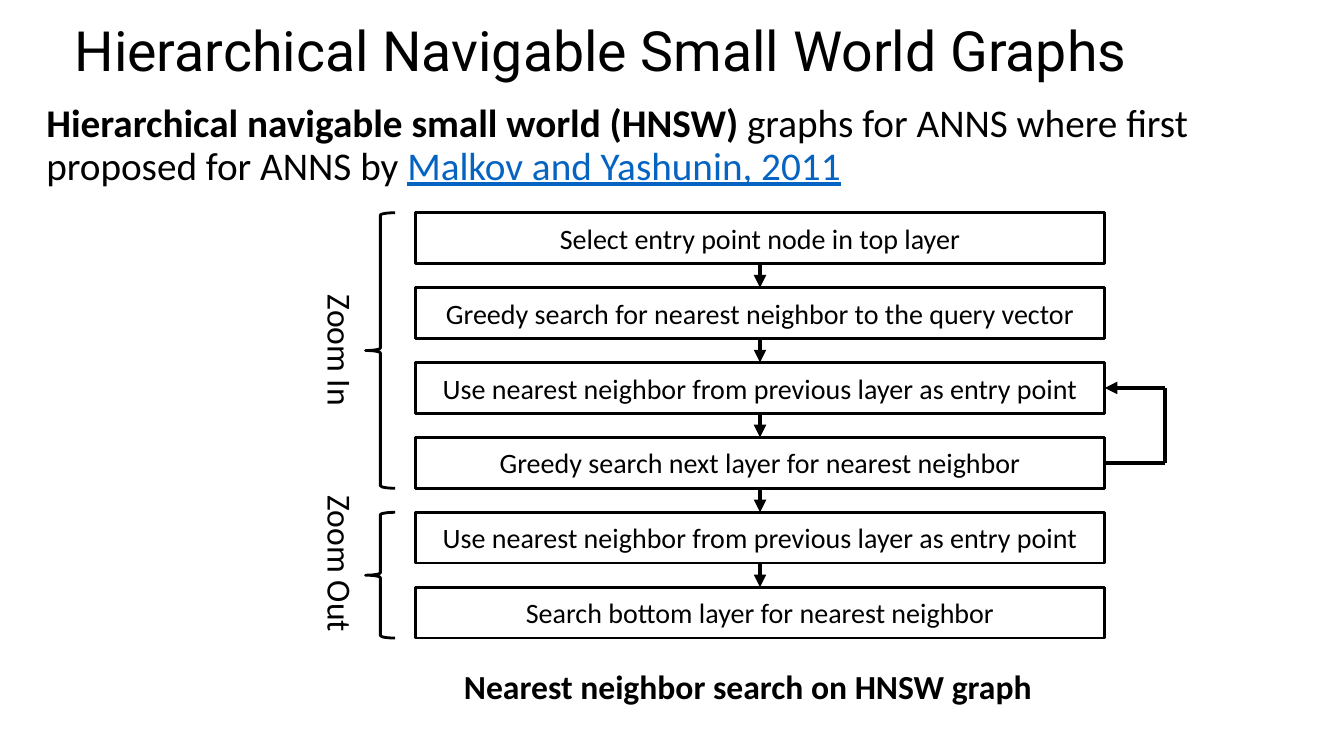
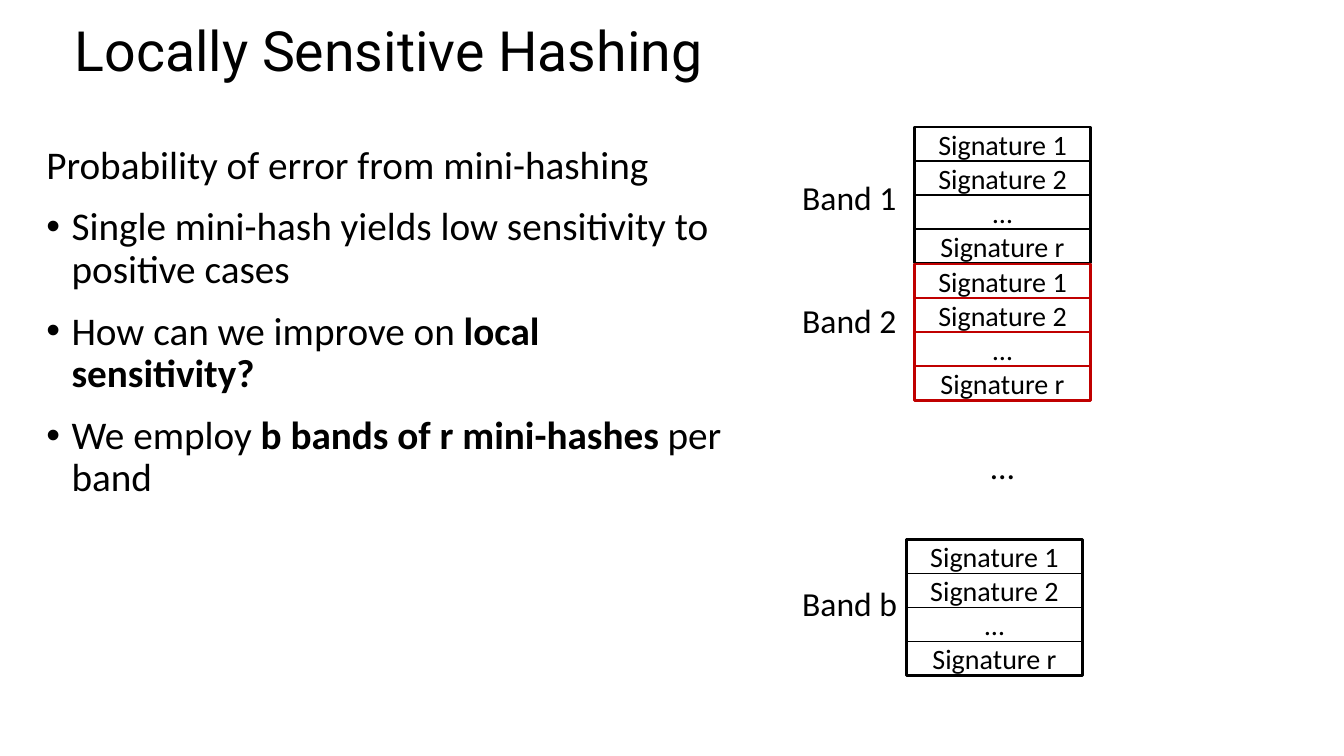
from lxml.etree import SubElement
from pptx import Presentation
from pptx.dml.color import RGBColor
from pptx.enum.shapes import MSO_CONNECTOR, MSO_SHAPE
from pptx.enum.text import MSO_ANCHOR, MSO_AUTO_SIZE, PP_ALIGN
from pptx.oxml.ns import qn
from pptx.util import Inches, Pt

WIDE, HIGH = Inches(13.33), Inches(7.5)
BLACK, RED, BLUE = "000000", "C00000", "0563C1"
HEAD, TEXT = "Roboto", "Calibri"
ROW = 6.73


def paint(tint):
    """Turn a hex string into a colour."""
    return RGBColor.from_string(tint)


def span(*box):
    """Turn percent shares (x, y, x, y) of the slide into lengths."""
    return [int(part * side / 100) for part, side in zip(box, (WIDE, HIGH) * 2)]


def write(para, text, size, bold=False, tint=BLACK, face=TEXT, under=False):
    """Add one formatted run to a paragraph."""
    run = para.add_run()
    run.text = text
    font = run.font
    font.name, font.size, font.bold = face, Pt(size), bold
    font.color.rgb = paint(tint)
    if under:
        font.underline = True


def move(holder, box):
    """Set a placeholder at a box and fix its text size."""
    holder.left, holder.top, holder.width, holder.height = span(*box)
    holder.text_frame.word_wrap = True
    holder.text_frame.auto_size = MSO_AUTO_SIZE.NONE


def start(deck, title):
    """Add a slide with the shared title style."""
    slide = deck.slides.add_slide(deck.slide_layouts[1])
    move(slide.shapes.title, (4.8, 3.2, 86.25, 7.73))
    frame = slide.shapes.title.text_frame
    frame.vertical_anchor = MSO_ANCHOR.MIDDLE
    para = frame.paragraphs[0]
    para.alignment, para.line_spacing = PP_ALIGN.LEFT, 0.9
    write(para, title, 39.6, face=HEAD)
    return slide


def fill(slide, box, items):
    """Fill the body with (bullet, runs) items."""
    body = slide.placeholders[1]
    move(body, box)
    frame = body.text_frame
    for spot, (dot, runs) in enumerate(items):
        para = frame.add_paragraph() if spot else frame.paragraphs[0]
        para.line_spacing, para.space_before = 0.9, Pt(14 if spot else 0)
        props = para._p.get_or_add_pPr()
        dent = Inches(0.25) if dot else 0
        props.set("marL", str(dent))
        props.set("indent", str(-dent))
        if dot:
            SubElement(props, qn("a:buChar")).set("char", "•")
        else:
            SubElement(props, qn("a:buNone"))
        for text, style in runs:
            write(para, text, 28, **style)


def label(slide, box, text, align=PP_ALIGN.CENTER, bold=False, turn=0,
          anchor=MSO_ANCHOR.TOP):
    """Add a line of free text."""
    note = slide.shapes.add_textbox(*span(*box))
    note.rotation = turn
    frame = note.text_frame
    frame.word_wrap, frame.vertical_anchor = True, anchor
    frame.paragraphs[0].alignment = align
    write(frame.paragraphs[0], text, 24, bold)


def outline(slide, kind, box, weight, tint=BLACK, text=""):
    """Add an unfilled shape with optional centred text."""
    shape = slide.shapes.add_shape(kind, *span(*box))
    shape.shadow.inherit = False
    shape.fill.background()
    shape.line.color.rgb, shape.line.width = paint(tint), Pt(weight)
    if text:
        frame = shape.text_frame
        frame.vertical_anchor = MSO_ANCHOR.MIDDLE
        frame.paragraphs[0].alignment = PP_ALIGN.CENTER
        write(frame.paragraphs[0], text, 20)
    return shape


def link(slide, ends, first=None, last=None, arrow=True):
    """Draw a line between points, joined to (shape, side) pairs if given."""
    line = slide.shapes.add_connector(MSO_CONNECTOR.STRAIGHT, *ends)
    if first:
        line.begin_connect(*first)
    if last:
        line.end_connect(*last)
    line.line.color.rgb, line.line.width = paint(BLACK), Pt(3)
    props = line._element.spPr
    if arrow:
        SubElement(props.find(qn("a:ln")), qn("a:tailEnd")).set("type", "triangle")
    SubElement(props, qn("a:effectLst"))


def flow(slide, box, steps):
    """Stack the steps in a box and join each to the next."""
    left, top, wide, high = box
    pitch = (high - ROW) / (len(steps) - 1)
    cells = [outline(slide, MSO_SHAPE.RECTANGLE,
                     (left, top + spot * pitch, wide, ROW), 2, text=text)
             for spot, text in enumerate(steps)]
    for cell, after in zip(cells, cells[1:]):
        link(slide, (0, 0, 0, 0), (cell, 2), (after, 0))
    return cells, pitch


def loop(slide, low, up, edge):
    """Lead from the right side of one step back to an upper one."""
    turn = span(edge)[0]
    base, peak = (cell.top + cell.height // 2 for cell in (low, up))
    link(slide, (turn, base, turn, base), last=(low, 3), arrow=False)
    link(slide, (turn, base, turn, peak), arrow=False)
    link(slide, (turn, peak, turn, peak), last=(up, 3))


def brace(slide, box, text, lift):
    """Add a brace with turned text on its left."""
    left, top, wide, high = box
    mark = outline(slide, MSO_SHAPE.RIGHT_BRACE, box, 2)
    mark.rotation = 180
    label(slide, (left - 8.98, top + (high - ROW) / 2 - lift, 14.25, ROW),
          text, turn=90)


def band(slide, box, name, drop, tint):
    """Add a framed stack of signatures and its name."""
    left, top, wide, high = box
    outline(slide, MSO_SHAPE.RECTANGLE, box, 2, tint)
    rows = ["Signature 1", "Signature 2", "…", "Signature r"]
    step = high / len(rows)
    for spot, text in enumerate(rows):
        outline(slide, MSO_SHAPE.RECTANGLE,
                (left, top + spot * step, wide, step), 1, tint, text)
    label(slide, (58.95, top + drop, 9.9, ROW), name, PP_ALIGN.LEFT)


def graphs(deck):
    """Build the slide on navigable graphs."""
    slide = start(deck, "Hierarchical Navigable Small World Graphs")
    fill(slide, (2.7, 13.07, 92.5, 14.27), [(False, [
        ("Hierarchical navigable small world (HNSW)", {"bold": True}),
        (" graphs for ANNS where first proposed for ANNS by ", {}),
        ("Malkov and Yashunin, 2011", {"tint": BLUE, "under": True})])])
    left, top, wide, high = area = (30.9, 28.13, 51.3, 56.27)
    again = "Use nearest neighbor from previous layer as entry point"
    cells, pitch = flow(slide, area, [
        "Select entry point node in top layer",
        "Greedy search for nearest neighbor to the query vector",
        again,
        "Greedy search next layer for nearest neighbor",
        again,
        "Search bottom layer for nearest neighbor"])
    loop(slide, cells[3], cells[2], 86.7)
    for text, first, last, lift in (("Zoom In", 0, 3, 0), ("Zoom Out", 4, 5, 1.5)):
        brace(slide, (left - 3.7, top + first * pitch, 2.2,
                      (last - first) * pitch + ROW), text, lift)
    label(slide, (left, 87.47, 49.5, ROW),
          "Nearest neighbor search on HNSW graph", bold=True)


def hashing(deck):
    """Build the slide on hashing bands."""
    slide = start(deck, "Locally Sensitive Hashing")
    strong = {"bold": True}
    fill(slide, (2.7, 18.53, 51.9, 80), [
        (False, [("Probability of error from mini-hashing", {})]),
        (True, [("Single mini-hash yields low sensitivity to positive cases", {})]),
        (True, [("How can we improve on ", {}), ("local sensitivity?", strong)]),
        (True, [("We employ ", {}), ("b bands of r mini-hashes", strong),
                (" per band", {})])])
    left, wide, high = 68.03, 13.13, 18
    for name, shift, top, drop, tint in (
            ("Band 1", 0, 16.8, 6, BLACK),
            ("Band 2", 0, 34.93, 4.14, RED),
            ("Band b", -0.6, 71.33, 5.07, BLACK)):
        band(slide, (left + shift, top, wide, high), name, drop, tint)
    label(slide, (left, 52.67, wide, high), "…", anchor=MSO_ANCHOR.MIDDLE)


def main():
    """Build and save the deck."""
    deck = Presentation()
    deck.slide_width, deck.slide_height = WIDE, HIGH
    graphs(deck)
    hashing(deck)
    deck.save("out.pptx")


if __name__ == "__main__":
    main()
